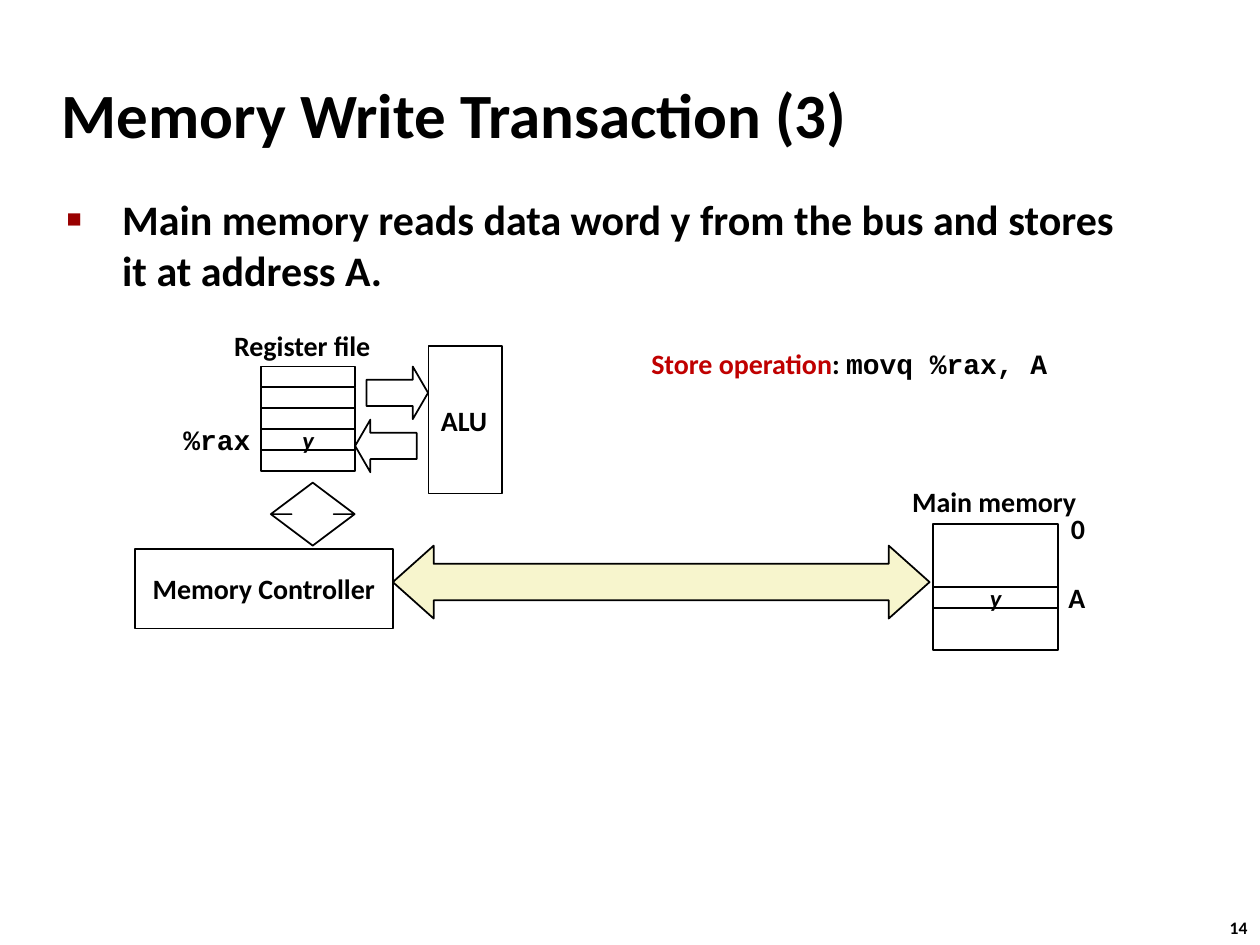
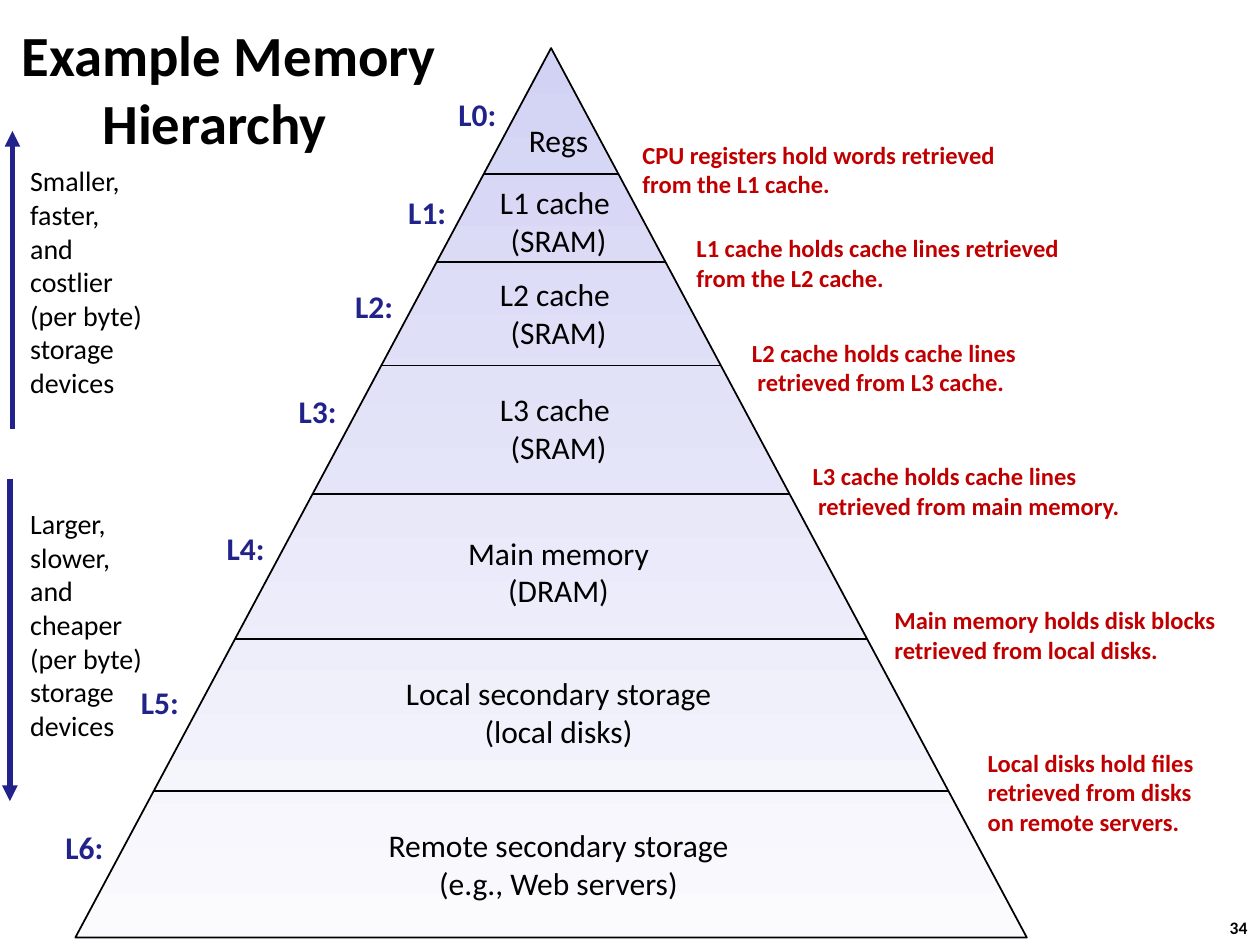
"""Build two lecture slides on memory writes and the memory hierarchy."""
from lxml import etree
from pptx import Presentation
from pptx import util as u
from pptx.dml.color import RGBColor
from pptx.enum import shapes, text
from pptx.oxml.ns import qn

SANS, MONO = "Calibri", "Courier New"
THEME = {
    "ink": "000000", "red": "C00000", "navy": "22228B", "mark": "990000",
    "bus": "F7F5CD", "white": "FFFFFF", "peak": "D2D2F4", "base": "FBFBFE",
    "title": dict(size=36, bold=True, name=SANS),
    "small title": dict(size=32.4, bold=True, name=SANS),
    "body": dict(size=24, bold=True, name=SANS),
    "number": dict(size=10, bold=True, name=SANS),
    "label": dict(size=16, bold=True, name=SANS),
    "alert": dict(size=16, bold=True, name=SANS, color="red"),
    "code": dict(size=16, bold=True, name=MONO),
    "value": dict(size=14, bold=True, italic=True, name=SANS),
    "level": dict(size=18, bold=False, name=SANS),
    "tag": dict(size=18, bold=True, name=SANS, color="navy"),
    "note": dict(size=14, bold=True, name=SANS, color="red"),
    "side": dict(size=16, bold=False, name=SANS),
}
KIND, ALIGN, ANCHOR = shapes.MSO_SHAPE, text.PP_ALIGN, text.MSO_ANCHOR
FIT = text.MSO_AUTO_SIZE

POINT = "Main memory reads data word y from the bus and stores it at address A."
STORE = [[("Store operation", "alert"), (": ", "label"), ("movq %rax, A", "code")]]
REGS = dict(left=5.26, top=7.39, wide=1.9, high=0.42, count=5, used=3)
RAM = (18.81, 10.57, 2.52, 2.54)
CELL = (18.81, 11.84, 2.52, 0.42)
ARROWS = [
    (KIND.LEFT_RIGHT_ARROW, (7.92, 11, 10.82, 1.47), (0.5, 0.56), "bus"),
    (KIND.RIGHT_ARROW, (7.39, 7.39, 1.24, 1.06), (0.5, 0.29), None),
    (KIND.LEFT_ARROW, (7.16, 8.46, 1.24, 1.06), (0.5, 0.29), None),
    (KIND.UP_DOWN_ARROW, (5.46, 9.73, 1.69, 1.27), (0.2, 0.5), None),
]
LABELS = [
    ("Register file", (4.47, 6.5, 3.3, 0.94), "label"),
    ("Main memory", (18.14, 9.63, 3.86, 0.94), "label"),
    ("0", (21.34, 10.19, 0.81, 0.94), "label"),
    ("A", (21.29, 11.58, 0.86, 0.94), "label"),
    ("%rax", (3.45, 8.38, 1.88, 0.94), "code"),
]

PEAK = dict(left=1.52, top=0.97, wide=19.18, high=17.93)
CUTS = [3.51, 5.28, 7.37, 9.96, 12.88, 15.95]
MID = 11.26
LEVELS = [
    (["Regs"], 2.31, 1.73),
    (["L1 cache ", "(SRAM)"], 3.56, 2.92),
    (["L2 cache ", "(SRAM)"], 5.41, 2.92),
    (["L3 cache ", "(SRAM)"], 7.72, 2.92),
    (["Main memory", "(DRAM)"], 10.62, 4.19),
    (["Local secondary storage", "(local disks)"], 13.46, 6.78),
    (["Remote secondary storage", "(e.g., Web servers)"], 16.51, 7.49),
]
TAGS = [(8.99, 1.78), (7.98, 3.76), (6.91, 5.66), (5.77, 7.77),
        (4.32, 10.54), (2.59, 13.64), (1.07, 16.56)]
NOTES = [
    (["CPU registers hold words retrieved from the L1 cache."], (12.7, 2.69, 8.1, 1.45)),
    (["L1 cache holds cache lines retrieved from the L2 cache."], (13.79, 4.57, 7.87, 1.45)),
    (["L2 cache holds cache lines", " retrieved from L3 cache."], (14.91, 6.68, 7.32, 1.45)),
    (["L3 cache holds cache lines", " retrieved from main memory."], (16.13, 9.17, 8, 1.45)),
    (["Main memory holds disk blocks retrieved from local disks."], (17.78, 12.07, 7.09, 1.45)),
    (["Local disks hold files retrieved from disks", "on remote servers."],
     (19.66, 14.94, 5.74, 2.06)),
]
TRENDS = [
    (["Smaller,", "faster,", "and", "costlier", "(per byte)", "storage", "devices"],
     3.15, (0.25, 8.64, 0.25, 2.64)),
    (["Larger,", "slower,", "and", "cheaper", "(per byte)", "storage", "devices"],
     10.06, (0.2, 9.65, 0.2, 16.15)),
]


def tint(key):
    return RGBColor.from_string(THEME[key])


def cms(nums):
    return [u.Cm(n) for n in nums]


def write(frame, lines, style, align=ALIGN.LEFT, **form):
    form = dict(word_wrap=False, vertical_anchor=ANCHOR.MIDDLE, auto_size=FIT.NONE) | form
    for key, val in form.items():
        setattr(frame, key, val)
    for i, line in enumerate(lines):
        para = frame.add_paragraph() if i else frame.paragraphs[0]
        para.alignment, para.space_before = align, u.Pt(0)
        for words, look in [(line, style)] if isinstance(line, str) else line:
            run = para.add_run()
            run.text = words
            vals = dict(THEME[look])
            run.font.color.rgb = tint(vals.pop("color", "ink"))
            vals["size"] = u.Pt(vals["size"])
            for key, val in vals.items():
                setattr(run.font, key, val)


def label(slide, lines, box, style, align=ALIGN.LEFT, **form):
    frame = slide.shapes.add_textbox(*cms(box)).text_frame
    write(frame, lines, style, align, **dict(auto_size=FIT.SHAPE_TO_FIT_TEXT) | form)


def shape(slide, kind, box, fill=None, adj=()):
    part = slide.shapes.add_shape(kind, *cms(box))
    part.shadow.inherit = False
    part.line.color.rgb, part.line.width = tint("ink"), u.Pt(1)
    if fill:
        part.fill.solid()
        part.fill.fore_color.rgb = tint(fill)
    else:
        part.fill.background()
    for i, val in enumerate(adj):
        part.adjustments[i] = val
    return part


def line(slide, ends, color="ink", width=1, head=False):
    part = slide.shapes.add_connector(shapes.MSO_CONNECTOR.STRAIGHT, *cms(ends))
    part.line.color.rgb, part.line.width = tint(color), u.Pt(width)
    if head:
        etree.SubElement(part.line._get_or_add_ln(), qn("a:tailEnd"), type="triangle")
    etree.SubElement(part._element.spPr, qn("a:effectLst"))


def place(part, box):
    for key, val in zip(("left", "top", "width", "height"), cms(box)):
        setattr(part, key, val)
    return part.text_frame


def indent(para, left, first):
    props = para._p.get_or_add_pPr()
    props.set("marL", str(u.Cm(left)))
    props.set("indent", str(u.Cm(first)))
    return props


def start(deck, layout, lines, box, style, number):
    slide = deck.slides.add_slide(deck.slide_layouts[layout])
    write(place(slide.shapes.title, box), lines, style, word_wrap=True)
    label(slide, [number], (24.54, 18.36, 0.94, 0.69), "number", vertical_anchor=ANCHOR.TOP)
    return slide


def transfer(deck):
    slide = start(deck, 1, ["Memory Write Transaction (3)"],
                  (0.99, 1.22, 21.08, 2.11), "title", "14")
    body = place(slide.placeholders[1], (1.09, 3.78, 21.95, 13.82))
    write(body, [POINT], "body", word_wrap=True, vertical_anchor=ANCHOR.TOP)
    props = indent(body.paragraphs[0], 1.12, -1.12)
    color = etree.SubElement(props, qn("a:buClr"))
    etree.SubElement(color, qn("a:srgbClr"), val=THEME["mark"])
    etree.SubElement(props, qn("a:buSzPct"), val="60000")
    etree.SubElement(props, qn("a:buChar"), char="■")

    shape(slide, KIND.RECTANGLE, RAM)
    for kind, box, adj, fill in ARROWS:
        shape(slide, kind, box, fill, adj)
    for i in range(REGS["count"]):
        box = (REGS["left"], REGS["top"] + i * REGS["high"], REGS["wide"], REGS["high"])
        row = shape(slide, KIND.RECTANGLE, box)
        if i == REGS["used"]:
            write(row.text_frame, ["y"], "value", ALIGN.CENTER)
    blocks = [("ALU", (8.64, 6.98, 1.48, 2.97), None, "label", ALIGN.LEFT),
              ("Memory Controller", (2.72, 11.07, 5.2, 1.6), "white", "label", ALIGN.CENTER),
              ("y", CELL, None, "value", ALIGN.CENTER)]
    for words, box, fill, style, align in blocks:
        write(shape(slide, KIND.RECTANGLE, box, fill).text_frame, [words], style, align)
    for words, box, style in LABELS:
        label(slide, [words], box, style)
    label(slide, STORE, (12.88, 6.86, 8.61, 1.63), "label",
          vertical_anchor=ANCHOR.TOP, auto_size=FIT.NONE)


def pyramid(deck):
    slide = start(deck, 5, ["Example Memory", "Hierarchy"],
                  (0.18, 0.69, 24.21, 2.18), "small title", "34")
    indent(slide.shapes.title.text_frame.paragraphs[1], 1.63, 0)
    left, top, wide, high = PEAK.values()
    peak = shape(slide, KIND.ISOSCELES_TRIANGLE, (left, top, wide, high))
    peak.fill.gradient()
    peak.fill.gradient_angle = 90
    for stop, key in zip(peak.fill.gradient_stops, ("base", "peak")):
        stop.color.rgb = tint(key)
    for y in CUTS:
        half = (y - top) / high * wide / 2
        apex = left + wide / 2
        line(slide, (apex - half, y, apex + half, y))
    for i, ((lines, y, w), spot) in enumerate(zip(LEVELS, TAGS)):
        tall = 1.02 if len(lines) == 1 else 1.8
        label(slide, lines, (MID - w / 2, y, w, tall), "level", ALIGN.CENTER)
        label(slide, [f"L{i}:"], (*spot, 1.3, 1.02), "tag")
    for lines, box in NOTES:
        label(slide, lines, box, "note", word_wrap=True)
    for lines, y, ends in TRENDS:
        label(slide, lines, (0.36, y, 2.79, 5.05), "side")
        line(slide, ends, "navy", 3, True)


def main():
    deck = Presentation()
    deck.slide_width, deck.slide_height = cms((25.4, 19.05))
    transfer(deck)
    pyramid(deck)
    deck.save("out.pptx")


if __name__ == "__main__":
    main()
